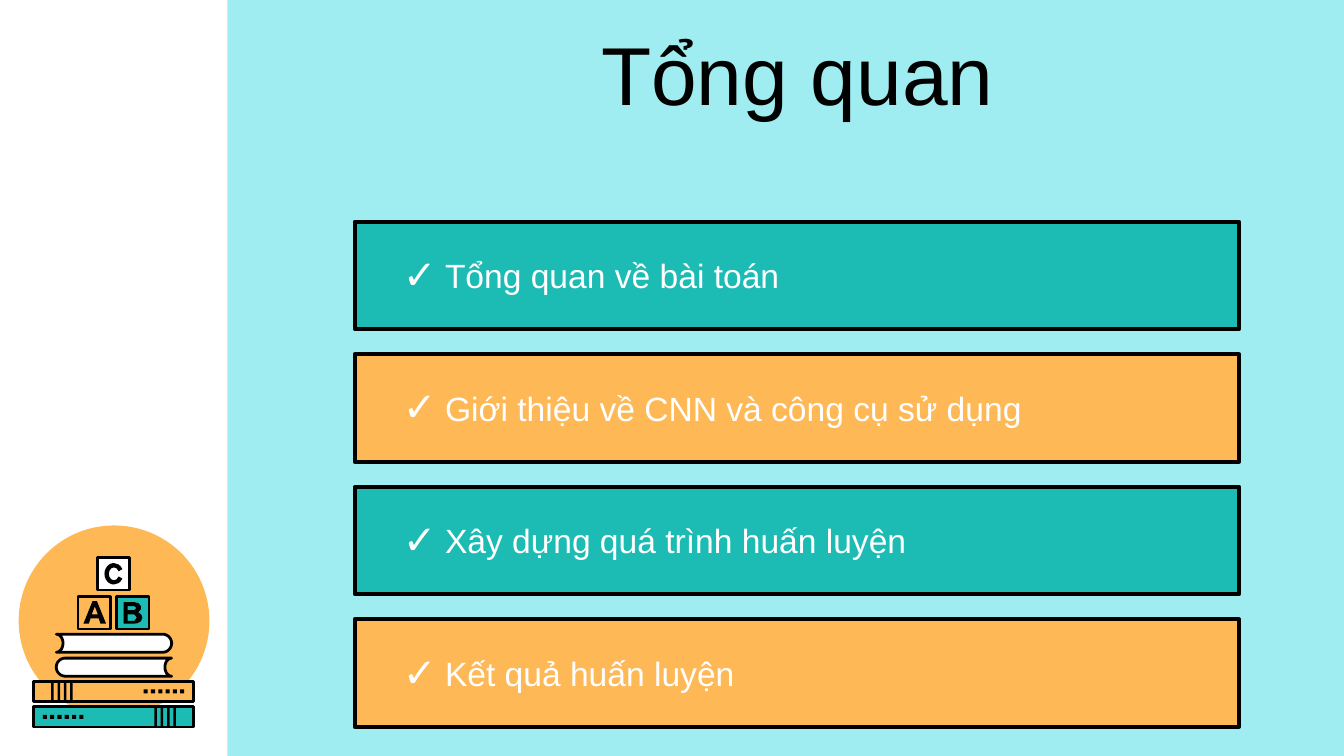
import math

import pptx
import pptx.dml.color
import pptx.enum.shapes
import pptx.enum.text
import pptx.oxml
import pptx.oxml.ns
import pptx.util

Pt = pptx.util.Pt
Shape = pptx.enum.shapes.MSO_SHAPE
Align = pptx.enum.text.PP_ALIGN
Anchor = pptx.enum.text.MSO_ANCHOR

COLORS = {
    "sky": "9FEDF0",
    "teal": "1CBBB4",
    "orange": "FEB856",
    "white": "FFFFFF",
    "black": "000000",
}
TOPICS = [
    "Tổng quan về bài toán",
    "Giới thiệu về CNN và công cụ sử dụng",
    "Xây dựng quá trình huấn luyện",
    "Kết quả huấn luyện",
]
LETTER_A = [
    [(7.8, 2.3), (10.1, 2.3), (15, 14.4), (12, 14.4), (11.1, 11.6),
     (6.7, 11.6), (5.8, 14.4), (2.9, 14.4)],
    [(9, 5.2), (7.4, 9.4), (10.6, 9.4)],
]
LETTER_B = [
    [(3.6, 2.9), (9.4, 2.9), (11.7, 3.5), (12.9, 5), (12.9, 6.8), (11.5, 8.4),
     (13.2, 9.6), (13.7, 11.3), (12.9, 13.2), (11, 14.2), (9.4, 14.4), (3.6, 14.4)],
    [(5.8, 5), (5.8, 7.2), (9.4, 7.2), (10.5, 6.1), (9.4, 5)],
    [(5.8, 9.4), (5.8, 13), (9.4, 13), (10.8, 11.2), (9.4, 9.4)],
]


def rgb(name):
    return pptx.dml.color.RGBColor.from_string(COLORS[name])


def paint(shape, fill, line_width=0):
    shape.shadow.inherit = False
    shape.fill.solid()
    shape.fill.fore_color.rgb = rgb(fill)
    if line_width:
        shape.line.color.rgb = rgb("black")
        shape.line.width = Pt(line_width)
    else:
        shape.line.fill.background()
    return shape


def add_block(page, box, fill, line_width=0, kind=Shape.RECTANGLE):
    shape = page.shapes.add_shape(kind, *[Pt(length) for length in box])
    return paint(shape, fill, line_width)


def add_outline(page, left, top, contours, fill, line_width=0):
    placed = [[(Pt(left + x), Pt(top + y)) for x, y in contour] for contour in contours]
    builder = page.shapes.build_freeform(*placed[0][0])
    for index, contour in enumerate(placed):
        if index:
            builder.move_to(*contour[0])
        builder.add_line_segments(contour[1:], close=True)
    return paint(builder.convert_to_shape(), fill, line_width)


def write(frame, text, size, color, align):
    for name, value in {"word_wrap": True, "vertical_anchor": Anchor.MIDDLE}.items():
        setattr(frame, name, value)
    para = frame.paragraphs[0]
    para.alignment = align
    span = para.add_run()
    span.text = text
    for name, value in {"name": "Arial", "size": Pt(size)}.items():
        setattr(span.font, name, value)
    span.font.color.rgb = rgb(color)
    return para


def add_check_bullet(para):
    properties = para._p.get_or_add_pPr()
    properties.set("marL", str(Pt(22.5)))
    properties.set("indent", str(-Pt(22.5)))
    namespace = pptx.oxml.ns.nsdecls("a")
    for tag in ('buSzPct {} val="120000"', 'buFont {} typeface="Arial"', 'buChar {} char="✓"'):
        properties.append(pptx.oxml.parse_xml(f"<a:{tag.format(namespace)}/>"))


def add_spine(page, box, fill, mirrored):
    left, top, width, height = box
    add_block(page, box, fill, 1.5)
    stripes = [(9.4 + 3.4 * index, 0, 1.4, height) for index in range(4)]
    dots = [(59 + 3.9 * index, 4.3, 2.2, 2.2) for index in range(6)]
    for x, y, mark_width, mark_height in stripes + dots:
        if mirrored:
            x = width - x - mark_width
        add_block(page, (left + x, top + y, mark_width, mark_height), "black")


def add_open_book(page, box, mirrored):
    left, top, width, height = box
    radius = height / 2
    angles = [math.radians(degrees) for degrees in range(-90, 91, 10)]
    rounded = [(width - radius + radius * math.cos(angle), radius + radius * math.sin(angle))
               for angle in angles]
    notch = [(3.6 * math.cos(angle), radius - radius * math.sin(angle)) for angle in angles]
    contour = rounded + notch
    if mirrored:
        contour = [(width - x, y) for x, y in contour]
    add_outline(page, left, top, [contour], "white", 1.5)


def add_book_stack(page, box):
    left, top, width, height = box
    add_block(page, (left, top, width, width), "orange", kind=Shape.OVAL)
    add_spine(page, (left + 8, top + 83.5, 85.7, 10.8), "orange", False)
    add_spine(page, (left + 8, top + 97.2, 85.7, 10.8), "teal", True)

    side = 17.3
    for x, y, fill, letter in [(31.8, 38.2, "orange", LETTER_A),
                               (52.6, 38.2, "teal", LETTER_B),
                               (42.2, 17.3, "white", None)]:
        add_block(page, (left + x, top + y, side, side), fill, 1.5)
        if letter:
            add_outline(page, left + x, top + y, letter, "black")
        else:
            arc = add_block(page, (left + x + 3.8, top + y + 2.9, 10.1, 11.5),
                            "black", kind=Shape.BLOCK_ARC)
            for index, value in enumerate((17.57, 198.9, 0.23)):
                arc.adjustments[index] = value

    add_open_book(page, (left + 20.2, top + 58.3, 61.8, 9.7), False)
    add_open_book(page, (left + 20.2, top + 71.1, 61.8, 9.7), True)


def add_title(page, box, text):
    title = page.shapes.title
    title.element.getparent().append(title.element)
    for name, length in zip(("left", "top", "width", "height"), box):
        setattr(title, name, Pt(length))
    write(title.text_frame, text, 44, "black", Align.CENTER)


def add_agenda(page, box, topics):
    left, top, width, height = box
    bar_height = 57.6
    pitch = (height - bar_height) / (len(topics) - 1)
    for index, topic in enumerate(topics):
        bar_top = top + index * pitch
        add_block(page, (left, bar_top, width, bar_height), ("teal", "orange")[index % 2], 2)
        label_box = (left + 18.8, bar_top + 14.4, 442, 28.8)
        label = page.shapes.add_textbox(*[Pt(length) for length in label_box])
        add_check_bullet(write(label.text_frame, topic, 18, "white", Align.LEFT))


def main():
    deck = pptx.Presentation()
    deck.slide_width, deck.slide_height = Pt(720), Pt(405)
    page = deck.slides.add_slide(deck.slide_layouts.get_by_name("Title Only"))
    page.background.fill.solid()
    page.background.fill.fore_color.rgb = rgb("white")
    add_block(page, (121.8, 0, 598.2, 405), "sky")
    add_book_stack(page, (10, 281.5, 102.2, 108))
    add_title(page, (136.8, 8.6, 581, 61.2), "Tổng quan")
    add_agenda(page, (190, 118.8, 473.8, 270.6), TOPICS)
    deck.save("out.pptx")


if __name__ == "__main__":
    main()
